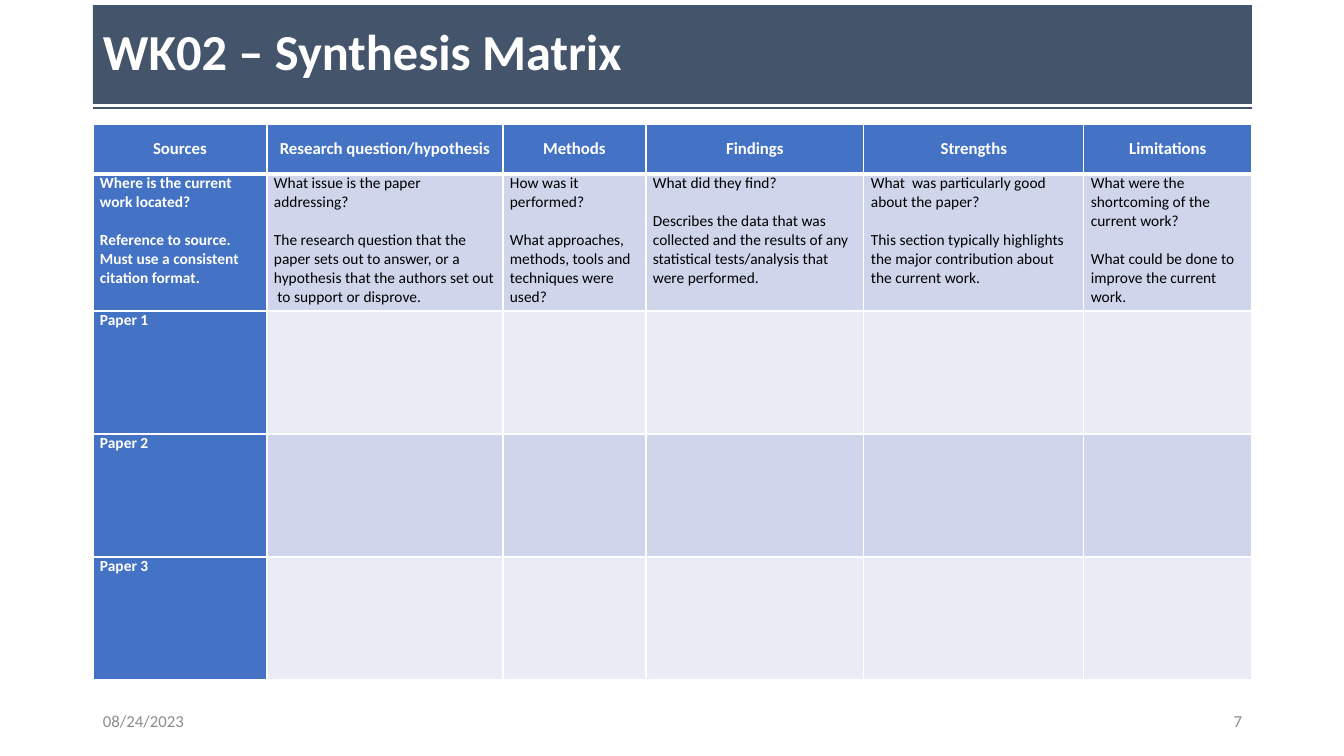
import lxml.etree
import pptx
import pptx.dml.color
import pptx.enum.shapes
import pptx.enum.text
import pptx.oxml.ns
import pptx.util

ALIGN = pptx.enum.text.PP_ALIGN
MIDDLE = pptx.enum.text.MSO_ANCHOR.MIDDLE
TOP = pptx.enum.text.MSO_ANCHOR.TOP
COLORS = {"slate": "44546A", "blue": "4472C4", "band": "CFD5EA",
          "pale": "E9EBF5", "white": "FFFFFF", "black": "000000", "gray": "8C8C8C"}
LEFT, WIDTH = 93, 1159
COLUMNS = [174, 236, 143, 218, 220, 168]
ROWS = [50, 137, 123, 123, 123]
MATRIX = [
    [["Sources"], ["Research question/hypothesis"], ["Methods"],
     ["Findings"], ["Strengths"], ["Limitations"]],
    [["Where is the current work located?",
      "Reference to source. Must use a consistent citation format."],
     ["What issue is the paper addressing?",
      "The research question that the paper sets out to answer, or a hypothesis "
      "that the authors set out  to support or disprove."],
     ["How was it performed?",
      "What approaches, methods, tools and techniques were used?"],
     ["What did they find?",
      "Describes the data that was collected and the results of any statistical "
      "tests/analysis that were performed."],
     ["What  was particularly good about the paper?",
      "This section typically highlights the major contribution about the current work."],
     ["What were the shortcoming of the current work?",
      "What could be done to improve the current work."]],
] + [[[f"Paper {number}"]] + [[]] * 5 for number in (1, 2, 3)]


def px(length):
    return pptx.util.Emu(round(length * 914400 / 100.8))


def rgb(name):
    return pptx.dml.color.RGBColor.from_string(COLORS[name])


class Deck:
    """Hold the shared style and the current slide."""

    font = "Calibri"

    def __init__(self):
        self.show = pptx.Presentation()
        self.show.slide_width, self.show.slide_height = px(1344), px(756)
        self.slide = self.show.slides.add_slide(self.show.slide_layouts[6])

    def add_words(self, frame, paragraphs, size, color, bold=False, align=ALIGN.LEFT, gap=0):
        frame.word_wrap = True
        for index, words in enumerate(paragraphs):
            paragraph = frame.add_paragraph() if index else frame.paragraphs[0]
            paragraph.alignment = align
            if index:
                paragraph.space_before = pptx.util.Pt(gap)
            run = paragraph.add_run()
            run.text = words
            run.font.name, run.font.size = self.font, pptx.util.Pt(size)
            run.font.bold = bold
            run.font.color.rgb = rgb(color)

    def banner(self, words, top, height):
        band = self.slide.shapes.add_shape(
            pptx.enum.shapes.MSO_SHAPE.RECTANGLE, px(LEFT), px(top), px(WIDTH), px(height))
        band.shadow.inherit = False
        band.fill.solid()
        band.fill.fore_color.rgb = rgb("slate")
        band.line.fill.background()
        band.text_frame.vertical_anchor = MIDDLE
        self.add_words(band.text_frame, [words], 36, "white", bold=True)
        band.text_frame.paragraphs[0].line_spacing = 0.9

    def rule(self, top):
        line = self.slide.shapes.add_connector(
            pptx.enum.shapes.MSO_CONNECTOR.STRAIGHT,
            px(LEFT), px(top), px(LEFT + WIDTH), px(top))
        line.line.color.rgb = rgb("slate")
        line.line.width = pptx.util.Pt(1.5)
        lxml.etree.SubElement(line._element.spPr, pptx.oxml.ns.qn("a:effectLst"))

    def footer(self, words, left, align):
        box = self.slide.shapes.add_textbox(px(left), px(701), px(302), px(40))
        box.text_frame.vertical_anchor = MIDDLE
        self.add_words(box.text_frame, [words], 12, "gray", align=align)

    def border(self, cell, widths):
        properties = cell._tc.get_or_add_tcPr()
        for side, width in zip("LRTB", widths):
            edge = lxml.etree.SubElement(
                properties, pptx.oxml.ns.qn(f"a:ln{side}"), w=str(pptx.util.Pt(width)))
            fill = lxml.etree.SubElement(edge, pptx.oxml.ns.qn("a:solidFill"))
            lxml.etree.SubElement(
                fill, pptx.oxml.ns.qn("a:srgbClr"), val=COLORS["white"])

    def matrix(self, top):
        table = self.slide.shapes.add_table(
            len(ROWS), len(COLUMNS), px(LEFT), px(top), px(WIDTH), px(sum(ROWS))).table
        table.first_row = table.horz_banding = False
        for column, width in zip(table.columns, COLUMNS):
            column.width = px(width)
        for r, (height, entries) in enumerate(zip(ROWS, MATRIX)):
            table.rows[r].height = px(height)
            for c, paragraphs in enumerate(entries):
                cell = table.cell(r, c)
                header, label = r == 0, r == 0 or c == 0
                self.border(cell, [1, 1, 3 if r == 1 else 1, 3 if header else 1])
                cell.fill.solid()
                cell.fill.fore_color.rgb = rgb(
                    "blue" if label else "band" if r % 2 else "pale")
                cell.margin_left = cell.margin_right = px(7)
                cell.margin_top = cell.margin_bottom = 0
                cell.vertical_anchor = MIDDLE if header else TOP
                self.add_words(cell.text_frame, paragraphs, 12 if header else 11,
                               "white" if label else "black", bold=label,
                               align=ALIGN.CENTER if header else ALIGN.LEFT, gap=13.4)


def main():
    deck = Deck()
    deck.rule(108)
    deck.banner("WK02 – Synthesis Matrix", 5, 99)
    deck.footer("08/24/2023", LEFT, ALIGN.LEFT)
    deck.footer("7", LEFT + WIDTH - 302, ALIGN.RIGHT)
    deck.matrix(124)
    deck.show.save("out.pptx")


if __name__ == "__main__":
    main()
